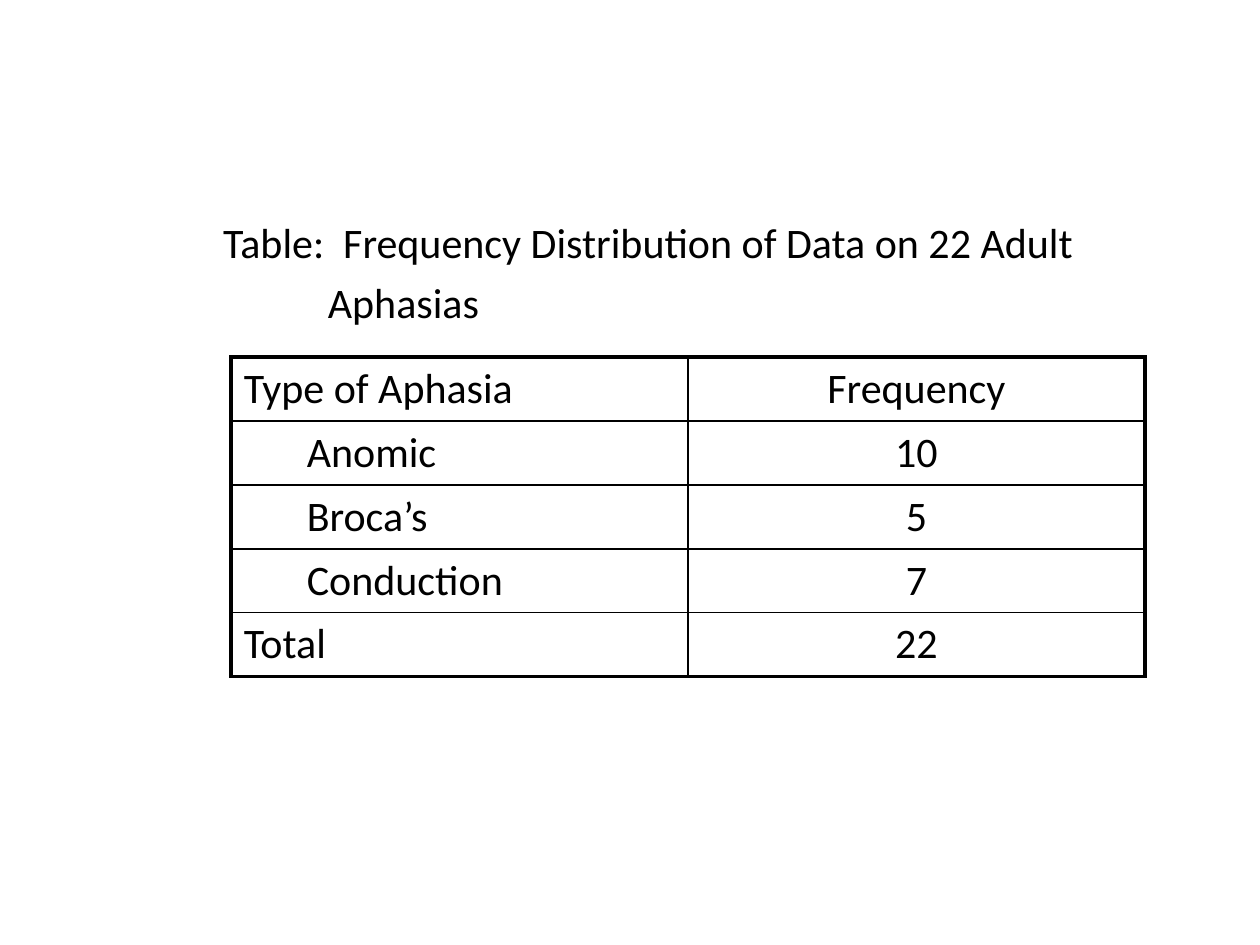
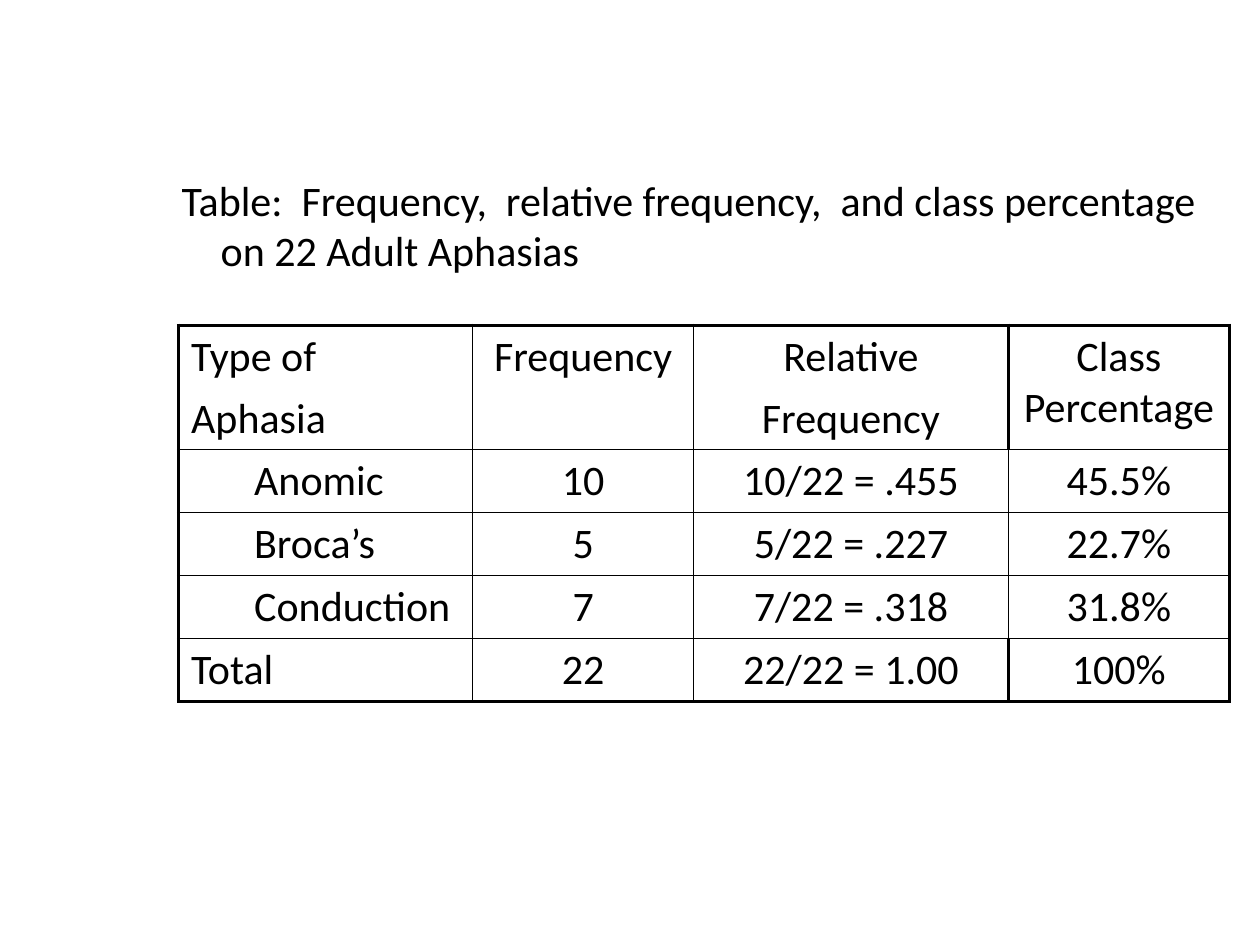
"""Two slides with frequency tables of adult aphasias."""
from dataclasses import dataclass

from lxml import etree
from pptx import Presentation
from pptx.dml.color import RGBColor
from pptx.enum.text import PP_ALIGN
from pptx.oxml.ns import qn
from pptx.util import Cm, Pt

LEFT, CENTER = PP_ALIGN.LEFT, PP_ALIGN.CENTER


@dataclass(frozen=True)
class Theme:
    """Colours, type and line sizes shared by the slides."""
    font: str = "Calibri"
    ink: str = "000000"
    size: int = 24
    space: int = 6
    thin: float = 1
    thick: float = 2.25
    row: float = 1.27
    indent: float = 1.27


THEME = Theme()


def write_paragraphs(tf, lines, align=LEFT, indents=((0, 0),)):
    """Write one paragraph per line, each with its (margin, first-line) indent in cm."""
    for i, line in enumerate(lines):
        p = tf.paragraphs[0] if i == 0 else tf.add_paragraph()
        margin, first = indents[min(i, len(indents) - 1)]
        pPr = p._p.get_or_add_pPr()
        pPr.set("marL", str(Cm(margin)))
        pPr.set("indent", str(Cm(first)))
        p.text = line
        p.alignment = align
        p.space_before = Pt(THEME.space if i else 0)
        p.font.name = THEME.font
        p.font.size = Pt(THEME.size)
        p.font.color.rgb = RGBColor.from_string(THEME.ink)


def add_caption(s, left, top, width, height, lines, indents):
    """Add the caption above a table."""
    tf = s.shapes.add_textbox(Cm(left), Cm(top), Cm(width), Cm(height)).text_frame
    tf.word_wrap = True
    write_paragraphs(tf, lines, indents=indents)


def set_borders(cell, thick_sides):
    """Draw all four borders of a cell, heavier on the given sides."""
    tcPr = cell._tc.get_or_add_tcPr()
    for side in "LRTB":
        width = THEME.thick if side in thick_sides else THEME.thin
        ln = etree.SubElement(tcPr, qn(f"a:ln{side}"), w=str(Pt(width)))
        fill = etree.SubElement(ln, qn("a:solidFill"))
        etree.SubElement(fill, qn("a:srgbClr"), val=THEME.ink)


def add_frequency_table(s, left, top, widths, header_height, rows, heavy_column=None):
    """Add a framed table; heavy_column has a thick left edge in its end rows."""
    heights = [header_height] + [THEME.row] * (len(rows) - 1)
    table = s.shapes.add_table(len(rows), len(widths), Cm(left), Cm(top),
                               Cm(sum(widths)), Cm(sum(heights))).table
    table.first_row = table.horz_banding = False
    for column, width in zip(table.columns, widths):
        column.width = Cm(width)
    last_row, last_column = len(rows) - 1, len(widths) - 1
    for r, values in enumerate(rows):
        table.rows[r].height = Cm(heights[r])
        end_row = r in (0, last_row)
        for c, value in enumerate(values):
            cell = table.cell(r, c)
            heavy = heavy_column if end_row else None
            edges = {"L": c in (0, heavy), "R": c == last_column or c + 1 == heavy,
                     "T": r == 0, "B": r == last_row}
            set_borders(cell, [side for side, thick in edges.items() if thick])
            cell.fill.background()
            indent = THEME.indent if c == 0 and not end_row else 0
            write_paragraphs(cell.text_frame, value.split("\n"),
                             CENTER if c else LEFT, [(indent, 0)])


def main():
    """Build both slides and save the deck."""
    prs = Presentation()
    prs.slide_width, prs.slide_height = Cm(25.4), Cm(19.05)
    blank = prs.slide_layouts[6]
    hanging = (1.02, -0.79)

    s = prs.slides.add_slide(blank)
    add_frequency_table(s, 4.66, 7.2, [9.21, 9.21], THEME.row, [
        ("Type of Aphasia", "Frequency"),
        ("Anomic", "10"),
        ("Broca’s", "5"),
        ("Conduction", "7"),
        ("Total", "22"),
    ])
    add_caption(s, 4.02, 4.23, 18.84, 2.12,
                ["Table:  Frequency Distribution of Data on 22 Adult", "Aphasias"],
                [hanging, (2.34, 0)])

    s = prs.slides.add_slide(blank)
    add_frequency_table(s, 3.6, 6.56, [5.93, 4.45, 6.35, 4.45], 2.46, [
        ("Type of\nAphasia", "Frequency", "Relative\nFrequency", "Class Percentage"),
        ("Anomic", "10", "10/22 = .455", "45.5%"),
        ("Broca’s", "5", "5/22 = .227", "22.7%"),
        ("Conduction", "7", "7/22 = .318", "31.8%"),
        ("Total", "22", "22/22 = 1.00", "100%"),
    ], heavy_column=3)
    add_caption(s, 3.18, 3.39, 21.38, 1.69,
                ["Table:  Frequency,  relative frequency,  and class percentage"
                 " on 22 Adult Aphasias"], [hanging])

    prs.save("out.pptx")


if __name__ == "__main__":
    main()
